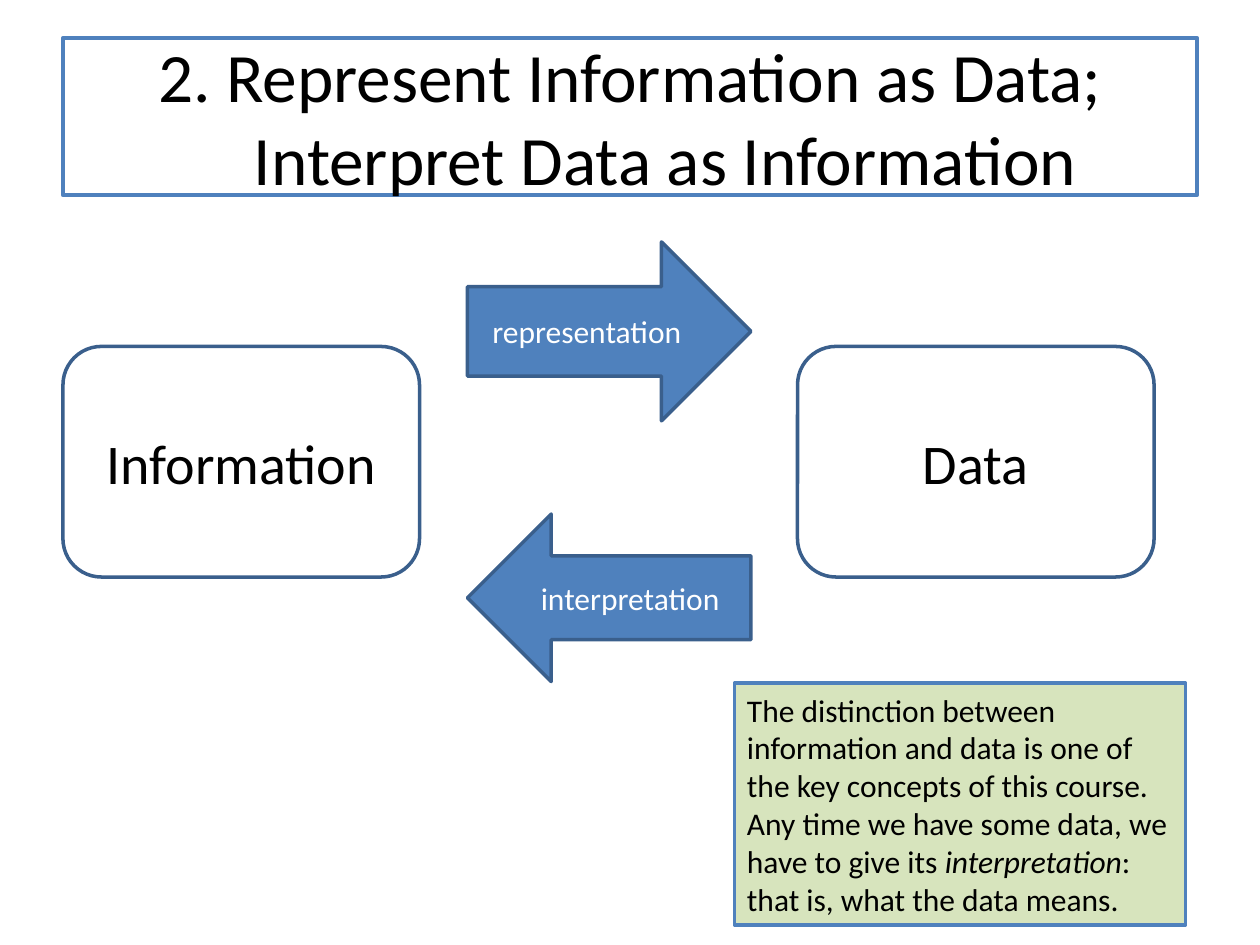
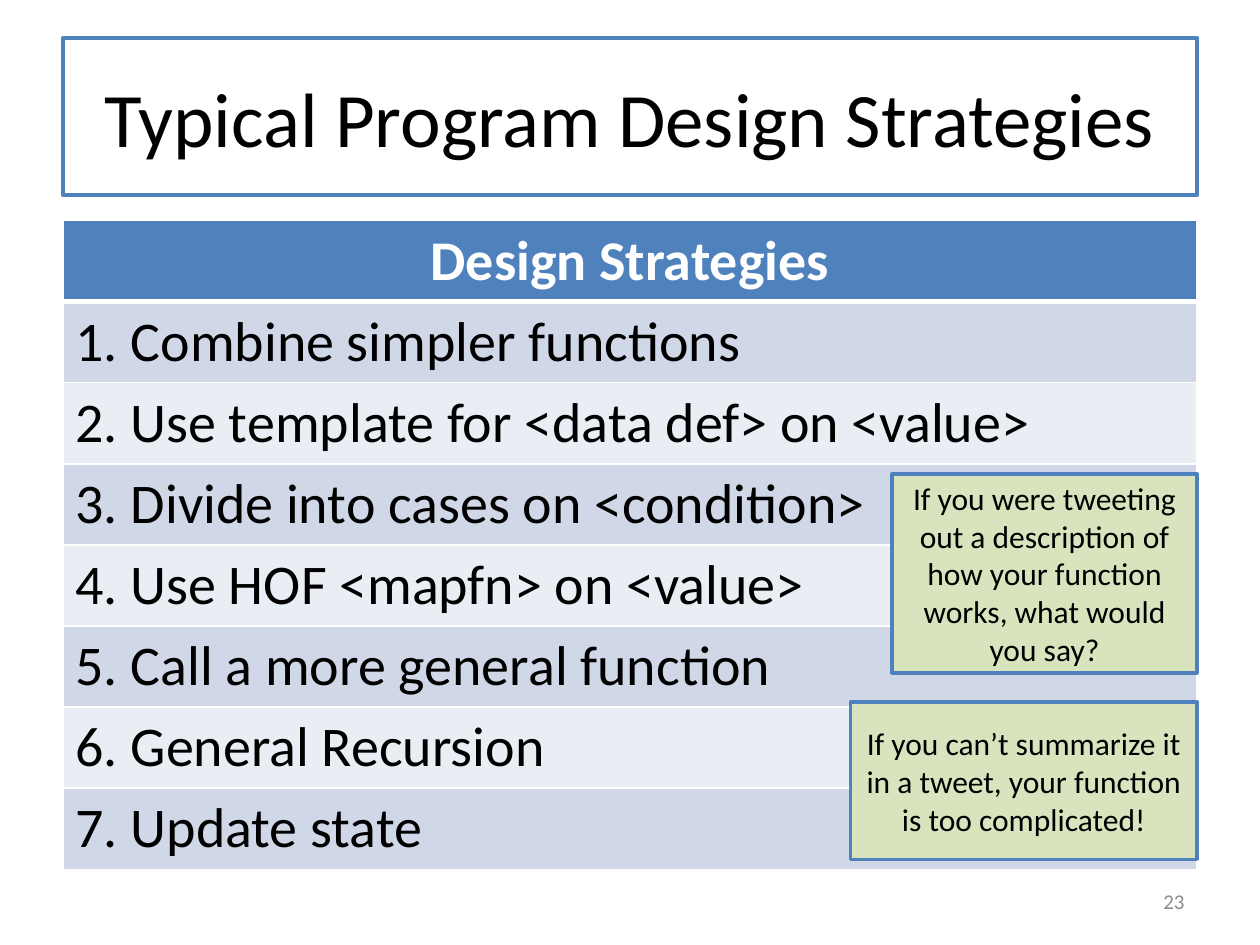
from dataclasses import dataclass

from lxml.etree import SubElement
from pptx import Presentation
from pptx.dml.color import RGBColor
from pptx.enum.shapes import MSO_SHAPE as Kind
from pptx.enum.text import MSO_ANCHOR as Anchor, MSO_AUTO_SIZE as Fit, PP_ALIGN as Align
from pptx.oxml.ns import qn
from pptx.util import Inches, Pt

FONT = "Calibri"
COLORS = {
    "white": "FFFFFF", "black": "000000", "blue": "4F81BD", "navy": "3A5F8C",
    "green": "D7E4BD", "odd": "D0D8E8", "even": "E9EDF4", "gray": "8C8C8C",
}
TITLE = (0.5, 0.3, 9, 1.25)
Run = tuple[str, bool]


@dataclass
class Box:
    kind: Kind
    at: tuple[float, float, float, float]
    runs: list[Run]
    fill: str | None = "green"
    edge: str = "blue"
    ink: str = "black"
    size: float = 18
    align: Align = Align.CENTER


def color(name: str) -> RGBColor:
    return RGBColor.from_string(COLORS[name])


def place(shape, at: tuple[float, float, float, float]) -> None:
    for name, value in zip(("left", "top", "width", "height"), at):
        setattr(shape, name, Inches(value))


def paint(shape, fill: str | None, edge: str, width: float) -> None:
    if fill:
        shape.fill.solid()
        shape.fill.fore_color.rgb = color(fill)
    else:
        shape.fill.background()
    shape.line.color.rgb = color(edge)
    shape.line.width = Pt(width)


def write(frame, runs: list[Run], size: float, ink: str, align: Align, bold: bool = False) -> None:
    para = frame.paragraphs[0]
    para.alignment = align
    for text, slant in runs:
        run = para.add_run()
        run.text = text
        style = {"name": FONT, "size": Pt(size), "bold": bold, "italic": slant}
        for name, value in style.items():
            setattr(run.font, name, value)
        run.font.color.rgb = color(ink)


def set_frame(frame) -> None:
    style = {"word_wrap": True, "auto_size": Fit.NONE, "vertical_anchor": Anchor.MIDDLE}
    for name, value in style.items():
        setattr(frame, name, value)


def add_slide(deck, text: str, size: float, hang: float = 0):
    slide = deck.slides.add_slide(deck.slide_layouts[5])
    title = slide.shapes.title
    place(title, TITLE)
    paint(title, "white", "blue", 2.25)
    set_frame(title.text_frame)
    write(title.text_frame, [(text, False)], size, "black", Align.CENTER)
    if hang:
        props = title.text_frame.paragraphs[0]._p.get_or_add_pPr()
        props.set("marL", str(Inches(hang)))
        props.set("indent", str(-Inches(hang)))
    return slide


def add_box(shapes, box: Box) -> None:
    shape = shapes.add_shape(box.kind, *map(Inches, box.at))
    shape.shadow.inherit = False
    paint(shape, box.fill, box.edge, 2)
    set_frame(shape.text_frame)
    write(shape.text_frame, box.runs, box.size, box.ink, box.align)


def add_edge(cell, side: str, width: float) -> None:
    line = SubElement(cell._tc.get_or_add_tcPr(), qn(f"a:ln{side}"), w=str(Pt(width)))
    fill = SubElement(line, qn("a:solidFill"))
    SubElement(fill, qn("a:srgbClr"), val=COLORS["white"])


def add_list(slide, head: str, items: list[str]) -> None:
    lines = [head, *items]
    table = slide.shapes.add_table(len(lines), 1, *map(Inches, (0.5, 1.75, 9, 5.07))).table
    table.horz_banding = False
    for i, text in enumerate(lines):
        cell = table.cell(i, 0)
        # Borders come before the fill in the cell properties
        for side in "LRTB":
            thick = (i == 0 and side == "B") or (i == 1 and side == "T")
            add_edge(cell, side, 3 if thick else 1)
        cell.fill.solid()
        band = "blue" if i == 0 else "odd" if i % 2 else "even"
        cell.fill.fore_color.rgb = color(band)
        ink, align = ("black", Align.LEFT) if i else ("white", Align.CENTER)
        write(cell.text_frame, [(text, False)], 32, ink, align, bold=i == 0)


def add_number(slide, text: str) -> None:
    label = slide.shapes.add_textbox(*map(Inches, (7.17, 6.95, 2.33, 0.4)))
    set_frame(label.text_frame)
    write(label.text_frame, [(text, False)], 12, "gray", Align.RIGHT)


def build_model(deck) -> None:
    slide = add_slide(
        deck, "2. Represent Information as Data; Interpret Data as Information", 39.6, hang=0.56)

    # The two worlds
    for left, text in ((0.5, "Information"), (6.33, "Data")):
        add_box(slide.shapes, Box(Kind.ROUNDED_RECTANGLE, (left, 2.75, 2.83, 1.83),
                                  [(text, False)], None, "navy", size=32))

    # Arrows between them
    group = slide.shapes.add_group_shape()
    for kind, top, height, text in (
        (Kind.RIGHT_ARROW, 1.92, 1.42, "representation"),
        (Kind.LEFT_ARROW, 4.08, 1.33, "interpretation"),
    ):
        add_box(group.shapes, Box(kind, (3.71, top, 2.25, height),
                                  [(text, False)], "blue", "navy", "white"))

    # Note
    runs = [
        ("The distinction between information and data is one of the key concepts of this "
         "course. Any time we have some data, we have to give its ", False),
        ("interpretation", True),
        (": that is, what the data means.", False),
    ]
    add_box(slide.shapes, Box(Kind.RECTANGLE, (5.83, 5.42, 3.58, 1.92), runs, align=Align.LEFT))


def build_plans(deck) -> None:
    slide = add_slide(deck, "Typical Program Design Strategies", 44)
    add_list(slide, "Design Strategies", [
        "1. Combine simpler functions",
        "2. Use template for <data def> on <value>",
        "3. Divide into cases on <condition>",
        "4. Use HOF <mapfn> on <value>",
        "5. Call a more general function",
        "6. General Recursion",
        "7. Update state",
    ])
    add_number(slide, "23")

    # Notes
    for at, text in (
        ((7.08, 3.76, 2.42, 1.58),
         "If you were tweeting out a description of how your function works, "
         "what would you say?"),
        ((6.75, 5.57, 2.75, 1.25),
         "If you can’t summarize it in a tweet, your function is too complicated!"),
    ):
        add_box(slide.shapes, Box(Kind.RECTANGLE, at, [(text, False)]))


def main() -> None:
    deck = Presentation()
    deck.slide_width, deck.slide_height = Inches(10), Inches(7.5)
    build_model(deck)
    build_plans(deck)
    deck.save("out.pptx")


if __name__ == "__main__":
    main()
